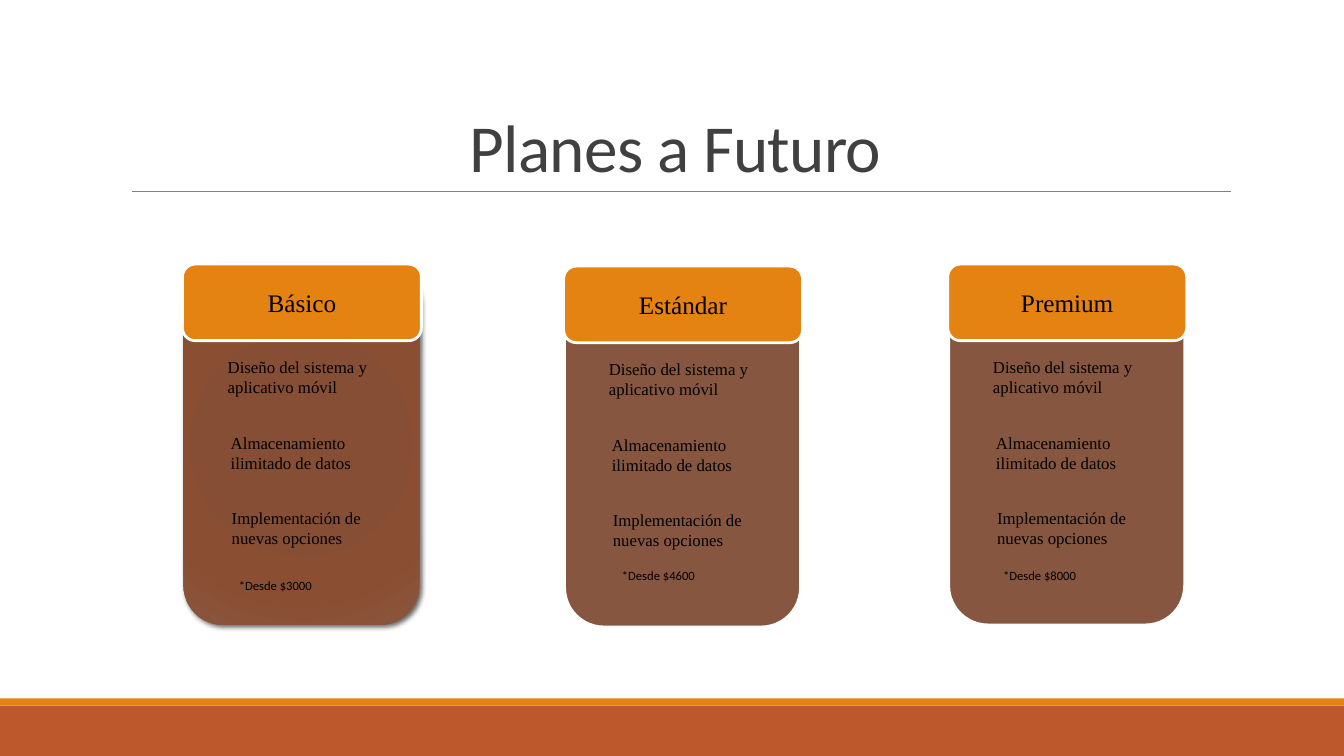
from lxml import etree
from pptx import Presentation
from pptx.dml.color import RGBColor
from pptx.enum.shapes import MSO_CONNECTOR, MSO_SHAPE
from pptx.enum.text import MSO_ANCHOR, MSO_AUTO_SIZE, PP_ALIGN
from pptx.oxml import parse_xml
from pptx.oxml.ns import nsdecls, qn
from pptx.util import Inches, Pt

RECT = MSO_SHAPE.RECTANGLE
ROUND = MSO_SHAPE.ROUNDED_RECTANGLE
STRAIGHT = MSO_CONNECTOR.STRAIGHT
TOP, MIDDLE, BOTTOM = MSO_ANCHOR.TOP, MSO_ANCHOR.MIDDLE, MSO_ANCHOR.BOTTOM
LEFT, CENTER = PP_ALIGN.LEFT, PP_ALIGN.CENTER
GROW = MSO_AUTO_SIZE.SHAPE_TO_FIT_TEXT

BLACK = RGBColor(0x00, 0x00, 0x00)
WHITE = RGBColor(0xFF, 0xFF, 0xFF)
DARK = RGBColor(0x40, 0x40, 0x40)
GRAY = RGBColor(0x80, 0x80, 0x80)
ORANGE = RGBColor(0xE4, 0x83, 0x12)
RUST = RGBColor(0xBD, 0x58, 0x2C)
BROWN = RGBColor(0x86, 0x56, 0x40)

SERIF, SANS = "Times New Roman", "Calibri"

GLOW = [(0, "874C32"), (34, "864E34"), (70, "8A4E33"), (100, "8A553D")]

ITEMS = [
    "Diseño del sistema y aplicativo móvil",
    "Almacenamiento ilimitado de datos",
    "Implementación de nuevas opciones",
]
INDENTS = [0.35, 0.38, 0.39]

PLANS = [
    ("Básico", 1.81, 2.62, "*Desde $3000", 2.27, 5.68),
    ("Estándar", 5.59, 2.64, "*Desde $4600", 6.07, 5.58),
    ("Premium", 9.4, 2.62, "*Desde $8000", 9.85, 5.58),
]


def add_block(slide, kind, box, fill, line=None):
    shape = slide.shapes.add_shape(kind, *map(Inches, box))
    shape.shadow.inherit = False
    shape.fill.solid()
    shape.fill.fore_color.rgb = fill
    if line is None:
        shape.line.fill.background()
    else:
        shape.line.color.rgb = line
        shape.line.width = Pt(2)
    return shape


def write(shape, text, size, font, color=BLACK, align=LEFT, anchor=TOP):
    frame = shape.text_frame
    frame.word_wrap = True
    frame.vertical_anchor = anchor
    para = frame.paragraphs[0]
    para.text = text
    para.alignment = align
    para.font.size = Pt(size)
    para.font.name = font
    para.font.color.rgb = color
    return para


def add_label(slide, box, text, size, font):
    label = slide.shapes.add_textbox(*map(Inches, box))
    write(label, text, size, font)
    label.text_frame.auto_size = GROW


def add_title(slide, text):
    title = slide.shapes.add_textbox(*map(Inches, (1.2, 0.31, 11, 1.59)))
    para = write(title, text, 48, SANS, DARK, CENTER, BOTTOM)
    para.line_spacing = 0.85
    para.runs[0].font._element.set("spc", "-50")


def add_rule(slide):
    rule = slide.shapes.add_connector(
        STRAIGHT, Inches(1.31), Inches(1.9), Inches(12.21), Inches(1.9))
    rule.line.color.rgb = GRAY
    rule.line.width = Pt(0.5)
    etree.SubElement(rule._element.spPr, qn("a:effectLst"))


def add_glow(card):
    stops = "".join(
        f'<a:gs pos="{pos * 1000}"><a:srgbClr val="{color}"/></a:gs>'
        for pos, color in GLOW)
    grad = parse_xml(
        f'<a:gradFill {nsdecls("a")} rotWithShape="1"><a:gsLst>{stops}</a:gsLst>'
        '<a:path path="circle"><a:fillToRect l="100000" t="100000" '
        'r="100000" b="100000"/></a:path></a:gradFill>')
    props = card._element.spPr
    props.replace(props.find(qn("a:solidFill")), grad)
    shade = parse_xml(
        f'<a:outerShdw {nsdecls("a")} blurRad="{Pt(3.5)}" dist="{Pt(2)}" '
        'dir="2700000" rotWithShape="0"><a:srgbClr val="000000">'
        '<a:alpha val="60000"/></a:srgbClr></a:outerShdw>')
    props.find(qn("a:effectLst")).append(shade)


def add_plan(slide, name, left, top, price, price_left, price_top, glow):
    card = add_block(slide, ROUND, (left + 0.01, top, 2.34, 3.58), BROWN,
                     None if glow else WHITE)
    if glow:
        add_glow(card)
    head = add_block(slide, ROUND, (left, top, 2.37, 0.76), ORANGE, WHITE)
    write(head, name, 18, SERIF, align=CENTER, anchor=MIDDLE)
    for row, (item, indent) in enumerate(zip(ITEMS, INDENTS)):
        box = (left + indent, top + 0.87 + 0.75 * row, 1.89, 0.5)
        add_label(slide, box, item, 12, SERIF)
    add_label(slide, (price_left, price_top, 1.37, 0.25), price, 9, SANS)


def main():
    deck = Presentation()
    deck.slide_width = Inches(13.33)
    deck.slide_height = Inches(7.5)
    slide = deck.slides.add_slide(deck.slide_layouts[6])
    add_block(slide, RECT, (0, 7, 13.33, 0.5), RUST)
    add_block(slide, RECT, (0, 6.93, 13.33, 0.07), ORANGE)
    add_rule(slide)
    add_title(slide, "Planes a Futuro")
    for index, plan in enumerate(PLANS):
        add_plan(slide, *plan, glow=index == 0)
    deck.save("out.pptx")


if __name__ == "__main__":
    main()
